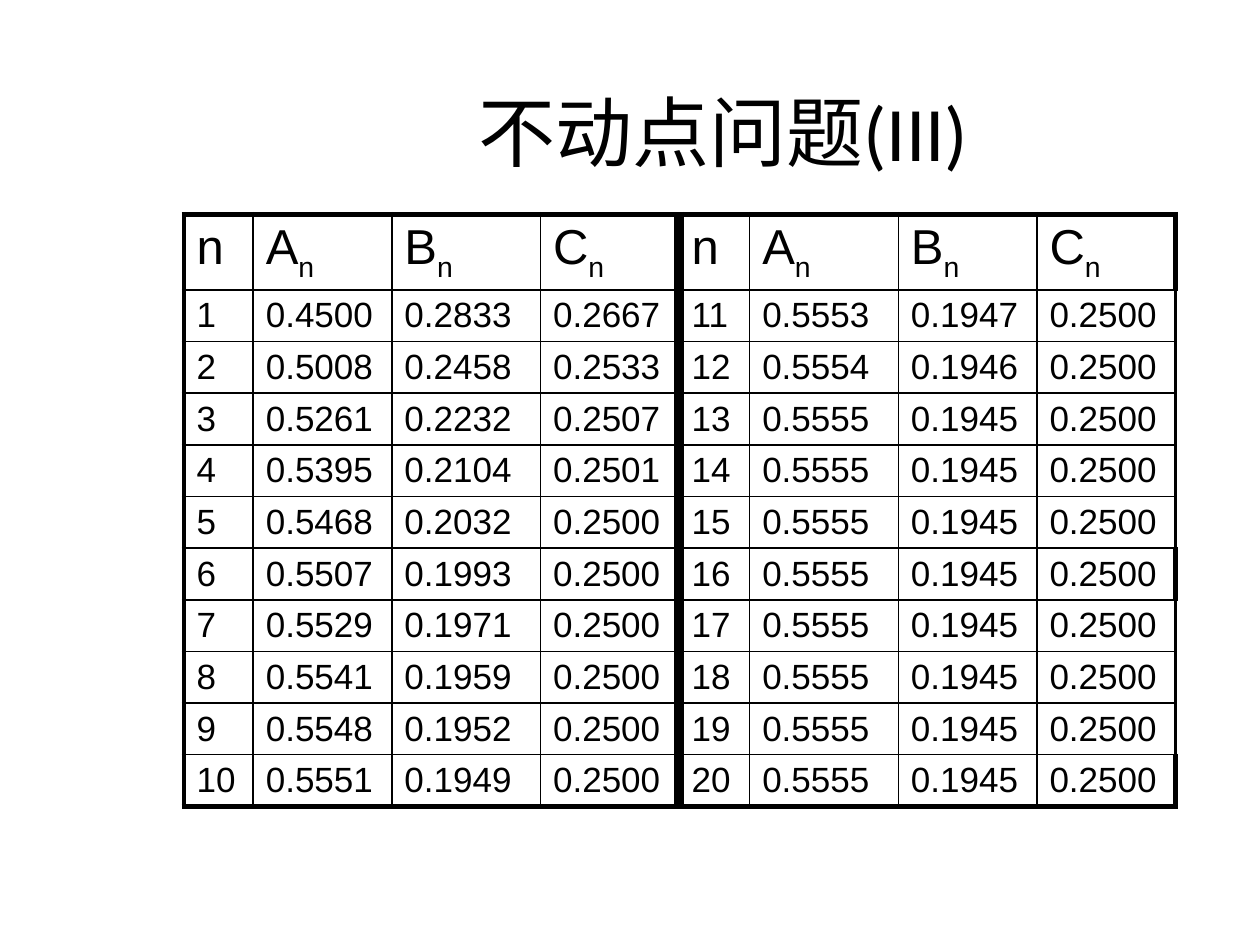
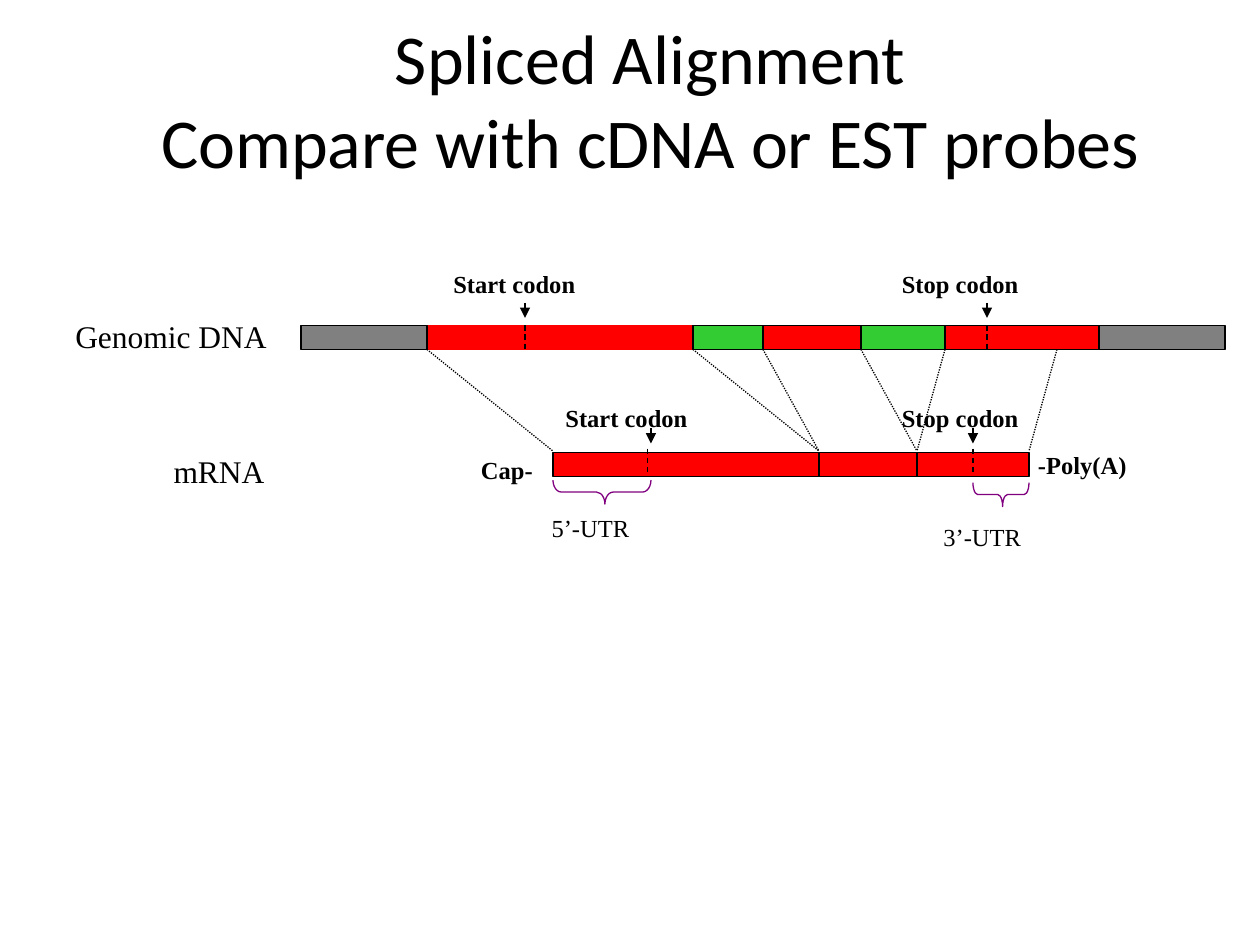
from itertools import accumulate

from lxml import etree
from pptx import Presentation
from pptx.dml.color import RGBColor
from pptx.enum.dml import MSO_LINE
from pptx.enum.shapes import MSO_CONNECTOR, MSO_SHAPE
from pptx.enum.text import MSO_ANCHOR, PP_ALIGN
from pptx.oxml.ns import qn
from pptx.util import Inches, Pt

BLACK = RGBColor(0x00, 0x00, 0x00)
EXON_RED = RGBColor(0xFF, 0x00, 0x00)
INTRON_GREEN = RGBColor(0x33, 0xCC, 0x33)
FLANK_GRAY = RGBColor(0x80, 0x80, 0x80)
BRACE_PURPLE = RGBColor(0x80, 0x00, 0x80)

TITLE_FONT, TABLE_FONT, DIAGRAM_FONT = "Calibri", "Arial", "Times New Roman"
CENTER, LEFT = PP_ALIGN.CENTER, PP_ALIGN.LEFT
MIDDLE, TOP = MSO_ANCHOR.MIDDLE, MSO_ANCHOR.TOP
RECTANGLE, LEFT_BRACE = MSO_SHAPE.RECTANGLE, MSO_SHAPE.LEFT_BRACE
STRAIGHT = MSO_CONNECTOR.STRAIGHT
DASH, DOT = MSO_LINE.DASH, MSO_LINE.ROUND_DOT
LINE_WIDTH = Pt(0.75)

# Fixed point table: widths, rules and values
COLUMN_WIDTHS = [0.55, 1.1, 1.18, 1.1, 0.56, 1.18, 1.1, 1.1]
HEADER_HEIGHT, ROW_HEIGHT = 0.6, 0.41
CELL_BOTTOM_MARGIN = 0.02
THIN, OUTER, DIVIDER, RIGHT_EDGE = 1, 3, 6, 2.25
HEAVY_RIGHT_ROWS = (0, 6, 10)
HEADERS = ["n", "A", "B", "C"]
ITERATIONS = [
    ("0.4500", "0.2833", "0.2667"), ("0.5008", "0.2458", "0.2533"),
    ("0.5261", "0.2232", "0.2507"), ("0.5395", "0.2104", "0.2501"),
    ("0.5468", "0.2032", "0.2500"), ("0.5507", "0.1993", "0.2500"),
    ("0.5529", "0.1971", "0.2500"), ("0.5541", "0.1959", "0.2500"),
    ("0.5548", "0.1952", "0.2500"), ("0.5551", "0.1949", "0.2500"),
    ("0.5553", "0.1947", "0.2500"), ("0.5554", "0.1946", "0.2500"),
] + [("0.5555", "0.1945", "0.2500")] * 8

# Gene diagram: sequence lengths are counted in ninths of an inch
UNIT = 1 / 9
TRACK_HEIGHT = 0.19
DNA_LEFT, DNA_TOP = 21.5 * UNIT, 23.25 * UNIT
MRNA_LEFT, MRNA_TOP = 39.5 * UNIT, 3.59
DNA_SEGMENTS = [
    (9, FLANK_GRAY, BLACK), (19, EXON_RED, EXON_RED), (5, INTRON_GREEN, BLACK),
    (7, EXON_RED, BLACK), (6, INTRON_GREEN, BLACK), (11, EXON_RED, BLACK),
    (9, FLANK_GRAY, BLACK),
]
MRNA_SEGMENTS = [(length, EXON_RED, BLACK) for length in (19, 7, 8)]
# Each pair joins a place on the DNA to a place on the mRNA
SPLICES = [(9, 0), (28, 19), (33, 19), (40, 26), (46, 26), (54, 34)]


def write_text(frame, text, subscript="", size=14, font=DIAGRAM_FONT, bold=False,
               align=LEFT, anchor=TOP):
    """Fill a text frame, one paragraph a line, with an optional subscript at the end."""
    frame.word_wrap = True
    frame.vertical_anchor = anchor
    for index, line in enumerate(text.split("\n")):
        paragraph = frame.add_paragraph() if index else frame.paragraphs[0]
        paragraph.alignment = align
        for part, baseline in ((line, None), (subscript, "-25000")):
            if not part:
                continue
            run = paragraph.add_run()
            run.text = part
            run.font.size = Pt(size)
            run.font.name = font
            run.font.bold = bold
            run.font.color.rgb = BLACK
            if baseline:
                run.font._element.set("baseline", baseline)


def add_text(slide, text, left, top, width, height=0.33, **text_format):
    box = slide.shapes.add_textbox(*map(Inches, (left, top, width, height)))
    write_text(box.text_frame, text, **text_format)


def add_title(slide, text, left, top, width, height, size):
    add_text(slide, text, left, top, width, height, size=size, font=TITLE_FONT,
             align=CENTER, anchor=MIDDLE)


def add_line(slide, start, end, dash=None, arrow=False):
    line = slide.shapes.add_connector(STRAIGHT, *map(Inches, (*start, *end)))
    line.line.color.rgb = BLACK
    line.line.width = LINE_WIDTH
    if dash:
        line.line.dash_style = dash
    properties = line._element.spPr
    if arrow:
        outline = properties.find(qn("a:ln"))
        etree.SubElement(outline, qn("a:tailEnd"), type="triangle")
    etree.SubElement(properties, qn("a:effectLst"))


def add_outlined_shape(slide, kind, left, top, width, height, line_color, fill=None):
    shape = slide.shapes.add_shape(kind, *map(Inches, (left, top, width, height)))
    shape.shadow.inherit = False
    shape.line.color.rgb = line_color
    shape.line.width = LINE_WIDTH
    if fill is None:
        shape.fill.background()
    else:
        shape.fill.solid()
        shape.fill.fore_color.rgb = fill
    return shape


def set_cell_borders(cell, left, right, top, bottom):
    properties = cell._tc.get_or_add_tcPr()
    sides = {"a:lnL": left, "a:lnR": right, "a:lnT": top, "a:lnB": bottom}
    for index, (side, width) in enumerate(sides.items()):
        border = etree.Element(qn(side), w=str(Pt(width)))
        fill = etree.SubElement(border, qn("a:solidFill"))
        etree.SubElement(fill, qn("a:srgbClr"), val=str(BLACK))
        properties.insert(index, border)


def add_iteration_table(slide, left, top):
    """Show the iterations in two halves, side by side."""
    half = len(ITERATIONS) // 2
    numbered = [(str(n), *values) for n, values in enumerate(ITERATIONS, 1)]
    rows = [HEADERS * 2] + [a + b for a, b in zip(numbered[:half], numbered[half:])]
    last_row, last_column = len(rows) - 1, len(COLUMN_WIDTHS) - 1
    height = HEADER_HEIGHT + half * ROW_HEIGHT
    table = slide.shapes.add_table(
        len(rows), len(COLUMN_WIDTHS),
        *map(Inches, (left, top, sum(COLUMN_WIDTHS), height))).table
    table.first_row = table.horz_banding = False
    for column, width in zip(table.columns, COLUMN_WIDTHS):
        column.width = Inches(width)

    for row, texts in enumerate(rows):
        table.rows[row].height = Inches(ROW_HEIGHT if row else HEADER_HEIGHT)
        right_edge = OUTER if row in HEAVY_RIGHT_ROWS else RIGHT_EDGE
        vertical_rules = {0: OUTER, 4: DIVIDER, last_column + 1: right_edge}
        for column, text in enumerate(texts):
            cell = table.cell(row, column)
            cell.margin_bottom = Inches(CELL_BOTTOM_MARGIN)
            cell.fill.background()
            set_cell_borders(
                cell,
                left=vertical_rules.get(column, THIN),
                right=vertical_rules.get(column + 1, THIN),
                top=THIN if row else OUTER,
                bottom=OUTER if row == last_row else THIN)
            write_text(cell.text_frame, text,
                       subscript="n" if text in HEADERS[1:] else "",
                       size=20 if row else 28, font=TABLE_FONT)


def add_track(slide, left, top, segments):
    """Draw a sequence as adjoining segments, those without a black edge first."""
    starts = accumulate((length for length, *_ in segments), initial=0)
    placed = sorted(zip(starts, segments), key=lambda item: item[1][2] == BLACK)
    for start, (length, fill, line_color) in placed:
        add_outlined_shape(slide, RECTANGLE, left + start * UNIT, top,
                           length * UNIT, TRACK_HEIGHT, line_color, fill)


def add_codon(slide, label, x, arrow_top, label_left, label_top, dash_x, dash_top):
    add_text(slide, label, label_left, label_top, 1.78, bold=True)
    add_line(slide, (x, arrow_top), (x, arrow_top + 0.12), arrow=True)
    add_line(slide, (dash_x, dash_top), (dash_x, dash_top + TRACK_HEIGHT), dash=DASH)


def add_untranslated_region(slide, label, left, top, width, bend, label_left, label_top):
    """Put a brace that points down, and its label, below the mRNA."""
    depth = 0.19
    brace = add_outlined_shape(
        slide, LEFT_BRACE, left + (width - depth) / 2, top - (width - depth) / 2,
        depth, width, BRACE_PURPLE)
    brace.rotation = 270
    brace.adjustments[0], brace.adjustments[1] = bend, 0.53
    add_text(slide, label, label_left, label_top, 1.11)


def add_genomic_dna(slide, left, top):
    add_text(slide, "Genomic DNA", left - 1.89, top - 0.12, 1.89, 0.4, size=18)
    add_track(slide, left, top, DNA_SEGMENTS)
    for label, position, label_offset in (("Start codon", 16, 1.11),
                                          ("Stop codon", 49, 4.67)):
        x = left + position * UNIT
        add_codon(slide, label, x, top - 0.18, left + label_offset, top - 0.5, x, top)


def add_mrna(slide, left, top):
    add_text(slide, "mRNA", left - 3.11, top - 0.05, 1.89, 0.4, size=18)
    add_text(slide, "Cap-", left - 0.67, top - 0.03, 0.89, bold=True)
    add_text(slide, "-Poly(A)", left + 3.75, top - 0.07, 1.22, bold=True)
    add_track(slide, left, top, MRNA_SEGMENTS)
    start_x, stop_x = left + 7 * UNIT, left + 30 * UNIT
    for label, x, label_offset, dash_x in (("Start codon", start_x, 0, start_x - 0.03),
                                           ("Stop codon", stop_x, 2.67, stop_x)):
        add_codon(slide, label, x, top - 0.19, left + label_offset, top - 0.44,
                  dash_x, top - 0.03)
    add_untranslated_region(slide, "5’-UTR", left, top + 0.22, 7 * UNIT, 0.35,
                            left - 0.11, top + 0.43)
    add_untranslated_region(slide, "3’-UTR", stop_x, top + 0.24, 4 * UNIT, 0.2,
                            left + 3, top + 0.5)


def add_splices(slide):
    for dna_position, mrna_position in SPLICES:
        add_line(slide,
                 (DNA_LEFT + dna_position * UNIT, DNA_TOP + TRACK_HEIGHT),
                 (MRNA_LEFT + mrna_position * UNIT, MRNA_TOP - 0.01), dash=DOT)


def build_fixed_point_slide(slide):
    add_title(slide, "不动点问题(III)", 1.48, 0.24, 8.52, 1.6, size=44)
    add_iteration_table(slide, 1.46, 1.7)


def build_spliced_alignment_slide(slide):
    add_genomic_dna(slide, DNA_LEFT, DNA_TOP)
    add_splices(slide)
    add_mrna(slide, MRNA_LEFT, MRNA_TOP)
    add_title(slide, "Spliced Alignment\nCompare with cDNA or EST probes",
              0.91, 0.16, 8.5, 1.25, size=40)


def main():
    presentation = Presentation()
    presentation.slide_width, presentation.slide_height = Inches(10), Inches(7.5)
    blank_layout = presentation.slide_layouts[6]
    for build in (build_fixed_point_slide, build_spliced_alignment_slide):
        build(presentation.slides.add_slide(blank_layout))
    presentation.save("out.pptx")


if __name__ == "__main__":
    main()
